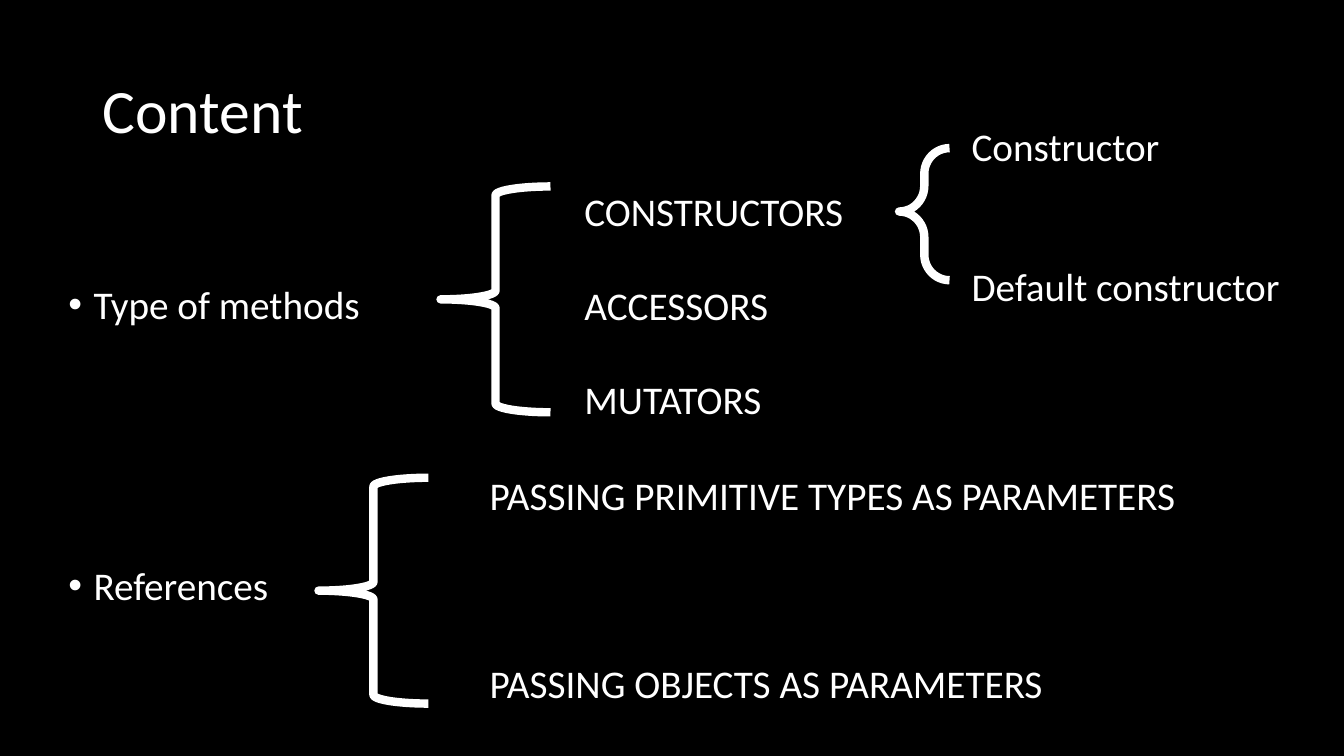
"""Build a content slide whose topics branch out through braces."""
from dataclasses import dataclass

from lxml import etree
from pptx import Presentation, util as u
from pptx.dml.color import RGBColor
from pptx.enum import shapes, text
from pptx.oxml import ns


@dataclass(frozen=True)
class Theme:
    background: RGBColor = RGBColor(0x00, 0x00, 0x00)
    ink: RGBColor = RGBColor(0xFF, 0xFF, 0xFF)
    font: str = "Calibri"
    title_size: float = 44
    body_size: float = 28
    brace_width: float = 6


@dataclass(frozen=True)
class Area:
    col: float
    row: float
    cols: float
    rows: float


@dataclass(frozen=True)
class Label:
    area: Area
    lines: tuple[str, ...]
    gap: float = 0
    size: float = Theme.body_size
    line_spacing: float = 1.0
    bulleted: bool = False
    anchor: text.MSO_ANCHOR = text.MSO_ANCHOR.TOP


@dataclass(frozen=True)
class Brace:
    area: Area
    curve: float = 0.08
    point: float = 0.5


THEME = Theme()
WIDTH, HEIGHT = u.Inches(13.33), u.Inches(7.5)
GRID = 100
LINE_GAP = 33.5
INDENT = u.Inches(0.25)

LABELS = (
    Label(Area(6.9, 5.33, 86.25, 19.33), ("Content",), size=THEME.title_size,
          line_spacing=0.9, anchor=text.MSO_ANCHOR.MIDDLE),
    Label(Area(4.35, 37.07, 86.25, 63.47), ("Type of methods", "References"),
          gap=170.7, line_spacing=0.9, bulleted=True),
    Label(Area(42.75, 24.13, 58.35, 32.8),
          ("CONSTRUCTORS", "ACCESSORS", "MUTATORS"), gap=LINE_GAP),
    Label(Area(35.7, 61.73, 58.35, 32.8),
          ("PASSING PRIMITIVE TYPES AS PARAMETERS", "PASSING OBJECTS AS PARAMETERS"),
          gap=3 * LINE_GAP),
    Label(Area(71.55, 15.47, 34.73, 26.53),
          ("Constructor", "Default constructor"), gap=2 * LINE_GAP),
)
BRACES = (
    Brace(Area(32.78, 24.67, 8.18, 29.87)),
    Brace(Area(23.7, 63.2, 8.18, 29.87)),
    Brace(Area(66.9, 19.6, 3.75, 17.47), curve=0.51, point=0.48),
)


def place(area: Area) -> tuple[int, int, int, int]:
    """Turn grid columns and rows into slide lengths."""
    return (int(area.col * WIDTH / GRID), int(area.row * HEIGHT / GRID),
            int(area.cols * WIDTH / GRID), int(area.rows * HEIGHT / GRID))


def add_bullet(p) -> None:
    """Give a paragraph a hanging round bullet."""
    pPr = p._p.get_or_add_pPr()
    pPr.set("marL", str(INDENT))
    pPr.set("indent", str(-INDENT))
    etree.SubElement(pPr, ns.qn("a:buFont")).set("typeface", "Arial")
    etree.SubElement(pPr, ns.qn("a:buChar")).set("char", "•")


def draw_label(s, label: Label) -> None:
    """Draw a text box with evenly spaced lines."""
    tf = s.shapes.add_textbox(*place(label.area)).text_frame
    tf.word_wrap = True
    tf.vertical_anchor = label.anchor
    tf.text = "\n".join(label.lines)
    for i, p in enumerate(tf.paragraphs):
        if label.bulleted:
            add_bullet(p)
        p.line_spacing = label.line_spacing
        if i:
            p.space_before = u.Pt(label.gap)
        for r in p.runs:
            r.font.name = THEME.font
            r.font.size = u.Pt(label.size)
            r.font.color.rgb = THEME.ink


def draw_brace(s, brace: Brace) -> None:
    """Draw an unfilled left brace."""
    sp = s.shapes.add_shape(shapes.MSO_SHAPE.LEFT_BRACE, *place(brace.area))
    sp.adjustments[0] = brace.curve
    sp.adjustments[1] = brace.point
    sp.shadow.inherit = False
    sp.fill.background()
    sp.line.color.rgb = THEME.ink
    sp.line.width = u.Pt(THEME.brace_width)


def main() -> None:
    """Create and save the slide."""
    prs = Presentation()
    prs.slide_width, prs.slide_height = WIDTH, HEIGHT
    s = prs.slides.add_slide(prs.slide_layouts[6])
    s.background.fill.solid()
    s.background.fill.fore_color.rgb = THEME.background
    for label in LABELS:
        draw_label(s, label)
    for brace in BRACES:
        draw_brace(s, brace)
    prs.save("out.pptx")


if __name__ == "__main__":
    main()
